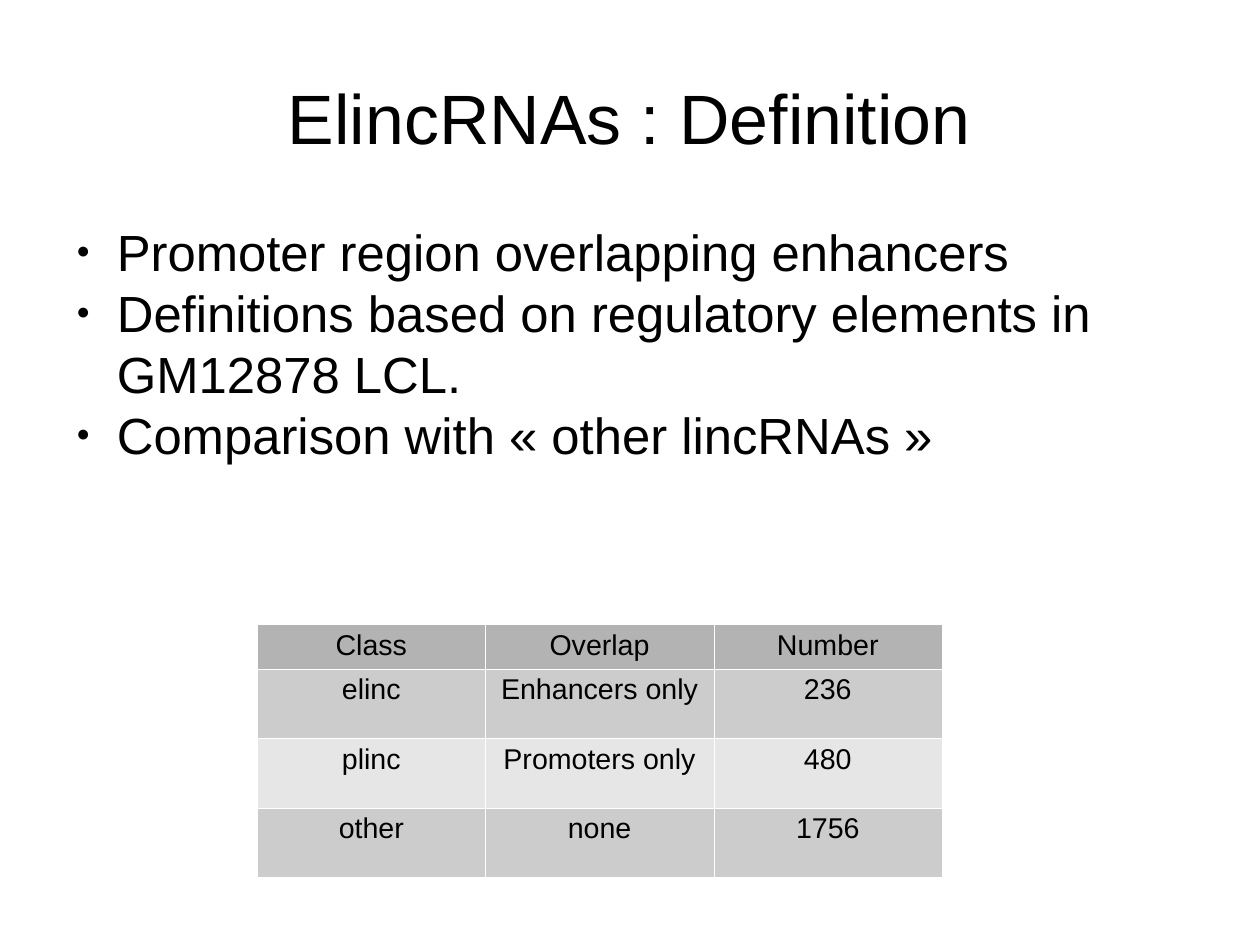
from lxml import etree
from pptx import Presentation
from pptx.dml.color import RGBColor
from pptx.enum import text
from pptx.oxml import ns
from pptx.util import Pt

HUES = {"ink": "000000", "head": "B3B3B3", "dark": "CCCCCC",
        "light": "E6E6E6", "edge": "FFFFFF"}


def write(para, words, size):
    run = para.add_run()
    run.text = words
    run.font.name = "Arial"
    run.font.size = Pt(size)
    run.font.color.rgb = RGBColor.from_string(HUES["ink"])


def add_box(top, height):
    """Add a full-width text frame without margins."""
    frame = slide.shapes.add_textbox(Pt(39.6), Pt(top), Pt(714.3), Pt(height)).text_frame
    frame.word_wrap = True
    frame.margin_left = frame.margin_right = frame.margin_top = frame.margin_bottom = 0
    return frame


deck = Presentation()
deck.slide_width, deck.slide_height = Pt(793.7), Pt(595.3)
slide = deck.slides.add_slide(deck.slide_layouts[6])

# Title
title = add_box(23.8, 99.4)
title.vertical_anchor = text.MSO_ANCHOR.MIDDLE
title.paragraphs[0].alignment = text.PP_ALIGN.CENTER
write(title.paragraphs[0], "ElincRNAs : Definition", 44)

# Bullet points
points = ["Promoter region overlapping enhancers",
          "Definitions based on regulatory elements in GM12878 LCL.",
          "Comparison with « other lincRNAs »"]
body = add_box(138.9, 344.9)
for i, point in enumerate(points):
    para = body.paragraphs[0] if i == 0 else body.add_paragraph()
    props = para._p.get_or_add_pPr()
    props.set("marL", str(Pt(34)))
    props.set("indent", str(-Pt(25.5)))
    color = etree.SubElement(props, ns.qn("a:buClr"))
    etree.SubElement(color, ns.qn("a:srgbClr"), val=HUES["ink"])
    etree.SubElement(props, ns.qn("a:buSzPct"), val="45000")
    etree.SubElement(props, ns.qn("a:buFont"), typeface="Arial")
    etree.SubElement(props, ns.qn("a:buChar"), char="●")
    para.line_spacing = Pt(38.4)
    write(para, point, 32)

# Class table
rows = [("Class", "Overlap", "Number"),
        ("elinc", "Enhancers only", "236"),
        ("plinc", "Promoters only", "480"),
        ("other", "none", "1756")]
fills = ["head", "dark", "light", "dark"]
highs = [27, 43.8, 43.8, 43.8]
table = slide.shapes.add_table(4, 3, Pt(162), Pt(393.1), Pt(431.4), Pt(sum(highs))).table
for col in table.columns:
    col.width = Pt(143.8)
for r, row in enumerate(rows):
    table.rows[r].height = Pt(highs[r])
    for c, words in enumerate(row):
        cell = table.cell(r, c)
        cell.margin_left = cell.margin_right = Pt(7.1)
        cell.margin_top = cell.margin_bottom = Pt(3.3)
        para = cell.text_frame.paragraphs[0]
        para.alignment = text.PP_ALIGN.CENTER
        write(para, words, 18)
        props = cell._tc.get_or_add_tcPr()
        for side in ("lnL", "lnR", "lnT", "lnB"):
            line = etree.SubElement(props, ns.qn("a:" + side), w=str(Pt(0.06)))
            paint = etree.SubElement(line, ns.qn("a:solidFill"))
            etree.SubElement(paint, ns.qn("a:srgbClr"), val=HUES["edge"])
        cell.fill.solid()
        cell.fill.fore_color.rgb = RGBColor.from_string(HUES[fills[r]])

deck.save("out.pptx")
